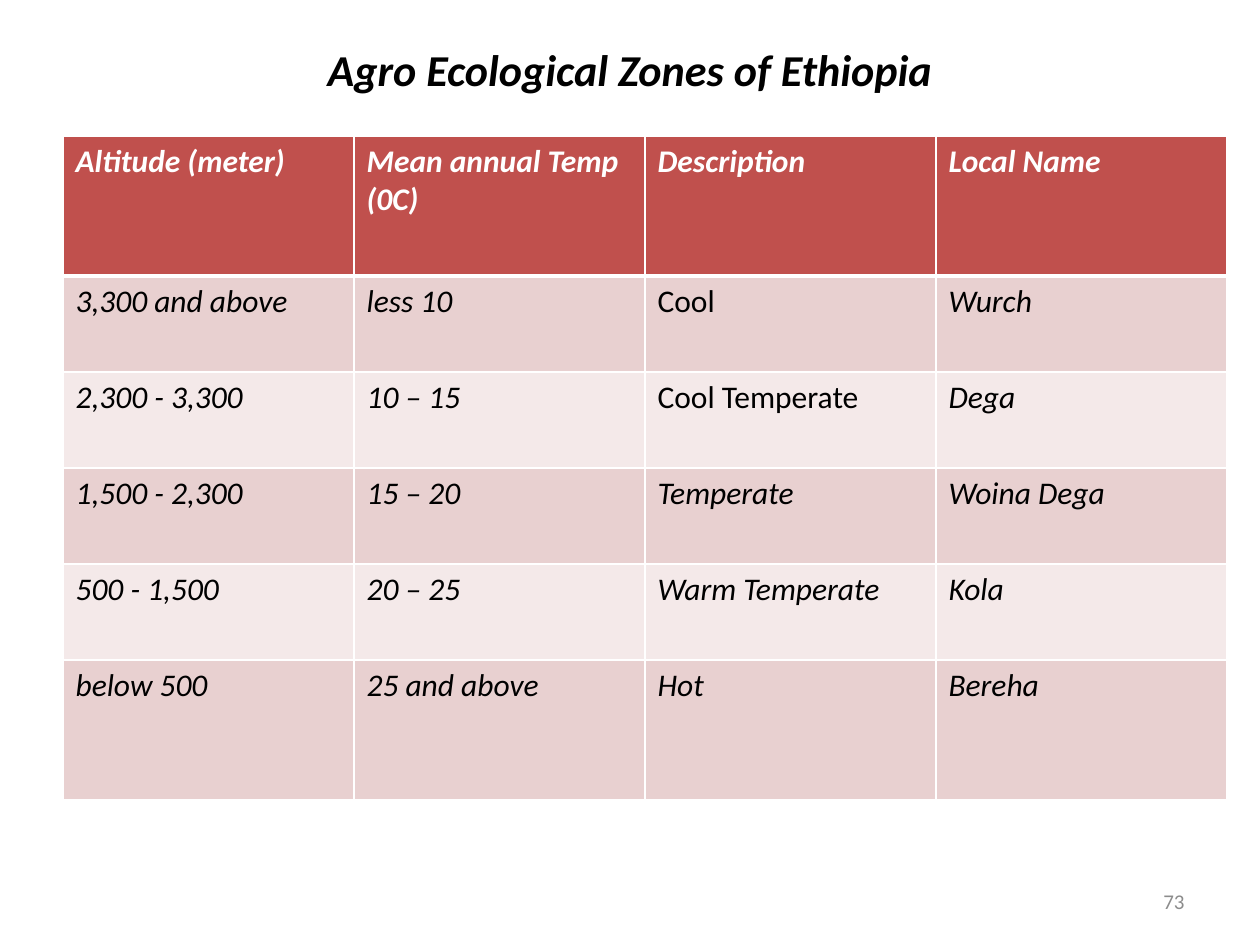
"""Build a slide with a table of the agro ecological zones of Ethiopia."""
from lxml.etree import SubElement
from pptx import Presentation
from pptx.dml.color import RGBColor
from pptx.enum.text import MSO_ANCHOR as Anchor, PP_ALIGN as Align
from pptx.oxml.ns import qn
from pptx.util import Emu, Pt

COLORS = {
    "header": "C0504D",
    "odd": "E8D0D0",
    "even": "F4E9E9",
    "white": "FFFFFF",
    "black": "000000",
    "gray": "8C8C8C",
}
ZONES = [
    ["Altitude (meter)", "Mean annual Temp (0C)", "Description", "Local Name"],
    ["3,300 and above", "less 10", "Cool", "Wurch"],
    ["2,300 - 3,300", "10 – 15", "Cool Temperate", "Dega"],
    ["1,500 - 2,300", "15 – 20", "Temperate", "Woina Dega"],
    ["500 - 1,500", "20 – 25", "Warm Temperate", "Kola"],
    ["below 500", "25 and above", "Hot", "Bereha"],
]
UPRIGHT = {"Cool", "Cool Temperate"}
ROW_HEIGHTS = [140, 96, 96, 96, 96, 140]
COLUMN_WIDTH = 291


def px(length):
    return Emu(round(length * 914400 / 126))


def style(para, size, color, bold=False, italic=False, align=Align.LEFT):
    para.alignment = align
    font = para.font
    font.name, font.size = "Calibri", Pt(size)
    font.bold, font.italic = bold, italic
    font.color.rgb = RGBColor.from_string(COLORS[color])


deck = Presentation()
deck.slide_width, deck.slide_height = px(1260), px(945)
page = deck.slides.add_slide(deck.slide_layouts[5])

title = page.shapes.title
title.left, title.top, title.width, title.height = px(63), px(42), px(1134), px(53)
title.text_frame.text = "Agro Ecological Zones of Ethiopia"
title.text_frame.vertical_anchor = Anchor.MIDDLE
style(title.text_frame.paragraphs[0], 25.2, "black", True, True, Align.CENTER)

table = page.shapes.add_table(
    len(ZONES), len(ZONES[0]), px(63), px(136),
    px(COLUMN_WIDTH * len(ZONES[0])), px(sum(ROW_HEIGHTS)),
).table
for column in table.columns:
    column.width = px(COLUMN_WIDTH)

for row, (height, texts) in enumerate(zip(ROW_HEIGHTS, ZONES)):
    table.rows[row].height = px(height)
    is_header = row == 0
    fill = "header" if is_header else "odd" if row % 2 else "even"
    for col, text in enumerate(texts):
        cell = table.cell(row, col)
        cell.text = text
        style(cell.text_frame.paragraphs[0], 18, "white" if is_header else "black",
              is_header, text not in UPRIGHT)
        properties = cell._tc.get_or_add_tcPr()
        for side in "LRTB":
            thick = (row, side) in {(0, "B"), (1, "T")}
            line = SubElement(properties, qn(f"a:ln{side}"), w=str(Pt(3 if thick else 1)))
            solid = SubElement(line, qn("a:solidFill"))
            SubElement(solid, qn("a:srgbClr"), val=COLORS["white"])
        cell.fill.solid()
        cell.fill.fore_color.rgb = RGBColor.from_string(COLORS[fill])

number_box = page.shapes.add_textbox(px(903), px(876), px(294), px(50))
number_box.text_frame.word_wrap = True
number_box.text_frame.vertical_anchor = Anchor.MIDDLE
number_box.text_frame.text = "73"
style(number_box.text_frame.paragraphs[0], 12, "gray", align=Align.RIGHT)

deck.save("out.pptx")
